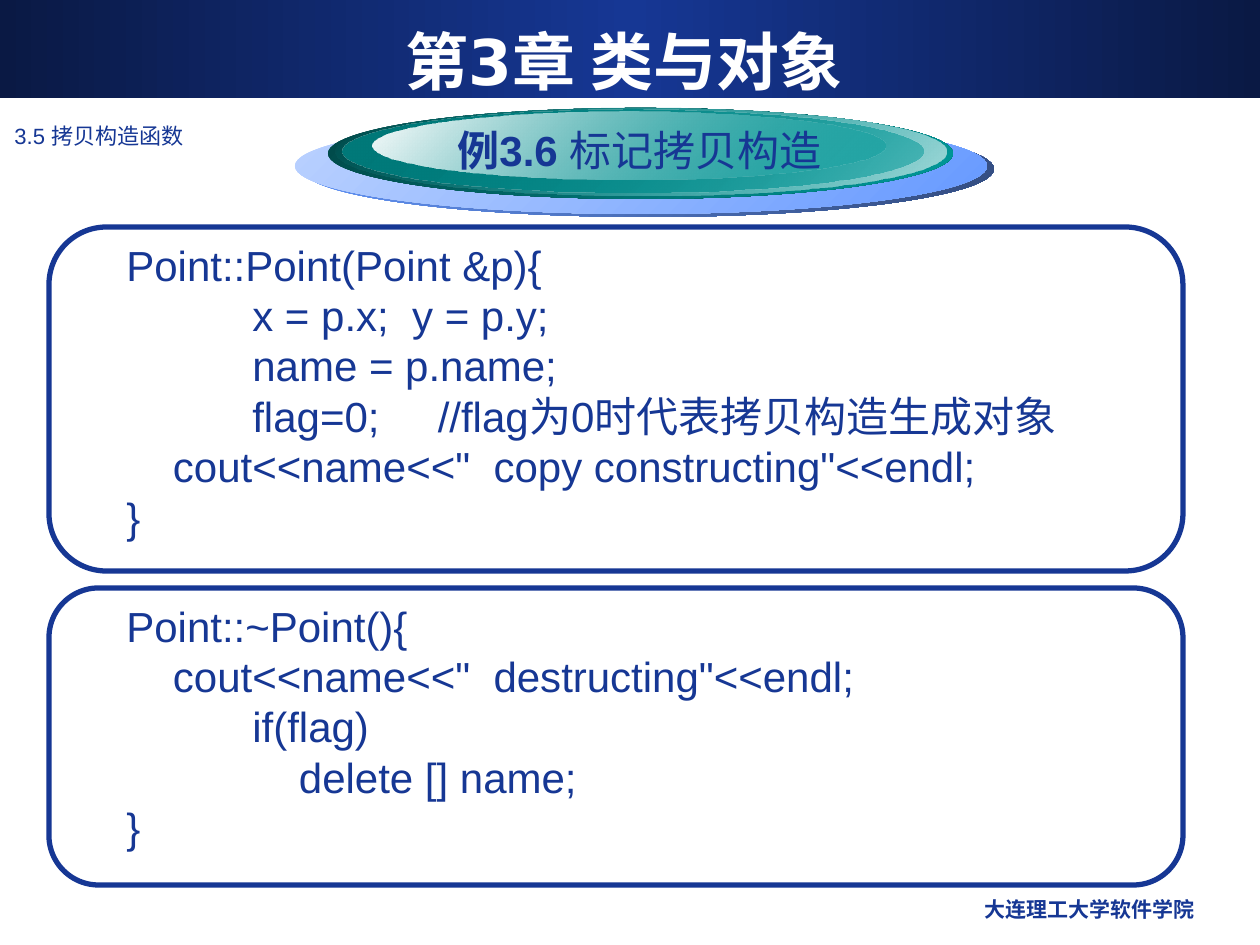
from lxml.etree import SubElement
from pptx import Presentation
from pptx.dml.color import RGBColor
from pptx.enum.shapes import MSO_SHAPE
from pptx.enum.text import MSO_ANCHOR, MSO_AUTO_SIZE, PP_ALIGN
from pptx.oxml.ns import qn
from pptx.util import Pt

EMU_PER_PX = 914400 / 126
COLORS = {
    "navy": "163794", "midnight": "0A1944", "white": "FFFFFF",
    "blue": "6699FF", "slate": "324A7C", "sky": "BBD2FF",
    "forest": "004747", "pine": "007979", "teal": "009999", "mint": "A6DBDB",
}
BAND_STOPS = [(0, "midnight", 100), (50, "navy", 100), (100, "midnight", 100)]
BADGE_LAYERS = [
    ((302, 121, 692, 96), ("blue", 100), ("slate", 100)),
    ((295, 118, 692, 96), ("sky", 100), ("blue", 100)),
    ((328, 108, 625, 91), ("forest", 100), ("teal", 100)),
    ((336, 108, 610, 88), ("teal", 0), ("mint", 100)),
    ((343, 110, 581, 83), ("pine", 100), ("teal", 48)),
    ((373, 112, 512, 67), ("white", 100), ("teal", 38)),
]
CONSTRUCTOR_CODE = """Point::Point(Point &p){
\tx = p.x;  y = p.y;
\tname = p.name;
\tflag=0;     //flag为0时代表拷贝构造生成对象
    cout<<name<<"  copy constructing"<<endl;
}"""
DESTRUCTOR_CODE = """Point::~Point(){
    cout<<name<<"  destructing"<<endl;
\tif(flag)
\t    delete [] name;
}"""


def px(length):
    """Turn pixels into EMU."""
    return round(length * EMU_PER_PX)


def color(name):
    """Return a named colour."""
    return RGBColor.from_string(COLORS[name])


def add_span(para, text, *, size, font="Arial", ink="navy", bold=False):
    """Append formatted text to a paragraph."""
    span = para.add_run()
    span.text = text
    span.font.size = Pt(size)
    span.font.name = font
    span.font.bold = bold
    span.font.color.rgb = color(ink)


def add_tab_stop(para, position):
    """Give a paragraph one left tab stop."""
    stops = SubElement(para._p.get_or_add_pPr(), qn("a:tabLst"))
    SubElement(stops, qn("a:tab"), pos=str(px(position)), algn="l")


def add_text_box(page, area, wrap=True):
    """Add an empty text box and return its frame."""
    frame = page.shapes.add_textbox(*map(px, area)).text_frame
    frame.word_wrap = wrap
    return frame


def add_plain_shape(page, kind, area):
    """Add a preset shape without shadow, line or fill."""
    shape = page.shapes.add_shape(kind, *map(px, area))
    shape.shadow.inherit = False
    shape.line.fill.background()
    shape.fill.background()
    return shape


def add_gradient_shape(page, kind, area, stops, angle):
    """Add a shape whose gradient stops are (position, colour, opacity)."""
    shape = add_plain_shape(page, kind, area)
    shape.fill.gradient()
    gradient = shape._element.spPr.find(qn("a:gradFill"))
    for child in list(gradient):
        gradient.remove(child)
    stop_list = SubElement(gradient, qn("a:gsLst"))
    for position, name, opacity in stops:
        stop = SubElement(stop_list, qn("a:gs"), pos=str(position * 1000))
        shade = SubElement(stop, qn("a:srgbClr"), val=COLORS[name])
        if opacity < 100:
            SubElement(shade, qn("a:alpha"), val=str(opacity * 1000))
    SubElement(gradient, qn("a:lin"), ang=str(angle * 60000), scaled="0")


def add_title(page, text):
    """Place the title placeholder on top of the band."""
    title = page.shapes.title
    page.shapes._spTree.append(title._element)
    title.left, title.top, title.width, title.height = map(px, (41, 21, 1166, 78))
    frame = title.text_frame
    frame.auto_size = MSO_AUTO_SIZE.NONE
    frame.vertical_anchor = MSO_ANCHOR.MIDDLE
    para = frame.paragraphs[0]
    para.alignment = PP_ALIGN.CENTER
    add_span(para, text, size=36, font="DejaVu Sans", ink="white", bold=True)


def add_badge(page):
    """Add the layered oval with the example heading."""
    for area, (first, first_opacity), (last, last_opacity) in BADGE_LAYERS:
        stops = [(0, first, first_opacity), (100, last, last_opacity)]
        add_gradient_shape(page, MSO_SHAPE.OVAL, area, stops, 45)
    para = add_text_box(page, (445, 118, 410, 63), wrap=False).paragraphs[0]
    add_span(para, "例3.6 ", size=24, bold=True)
    add_span(para, "标记拷贝构造", size=24)


def add_code_panel(page, top, height, code):
    """Add a rounded outline with lines of code inside."""
    panel = add_plain_shape(page, MSO_SHAPE.ROUNDED_RECTANGLE, (49, top, 1134, height))
    panel.adjustments[0] = 0.167
    panel.line.color.rgb = color("navy")
    panel.line.width = Pt(3)
    frame = add_text_box(page, (114, top + 6, 1096, height - 30))
    for index, line in enumerate(code.split("\n")):
        para = frame.add_paragraph() if index else frame.paragraphs[0]
        para.line_spacing = Pt(28.8)
        add_tab_stop(para, 126)
        add_span(para, line, size=24)


def main():
    """Build the slide and save it."""
    deck = Presentation()
    deck.slide_width, deck.slide_height = px(1260), px(945)
    page = deck.slides.add_slide(deck.slide_layouts[5])
    add_gradient_shape(page, MSO_SHAPE.RECTANGLE, (0, 0, 1260, 98), BAND_STOPS, 0)
    footer = add_text_box(page, (808, 890, 399, 44)).paragraphs[0]
    footer.alignment = PP_ALIGN.RIGHT
    add_span(footer, "大连理工大学软件学院", size=12, font="DejaVu Sans", bold=True)
    section = add_text_box(page, (2, 116, 1166, 42)).paragraphs[0]
    add_span(section, "3.5 拷贝构造函数", size=12.6)
    add_title(page, "第3章 类与对象")
    add_badge(page)
    add_code_panel(page, 227, 344, CONSTRUCTOR_CODE)
    add_code_panel(page, 588, 297, DESTRUCTOR_CODE)
    deck.save("out.pptx")


if __name__ == "__main__":
    main()
